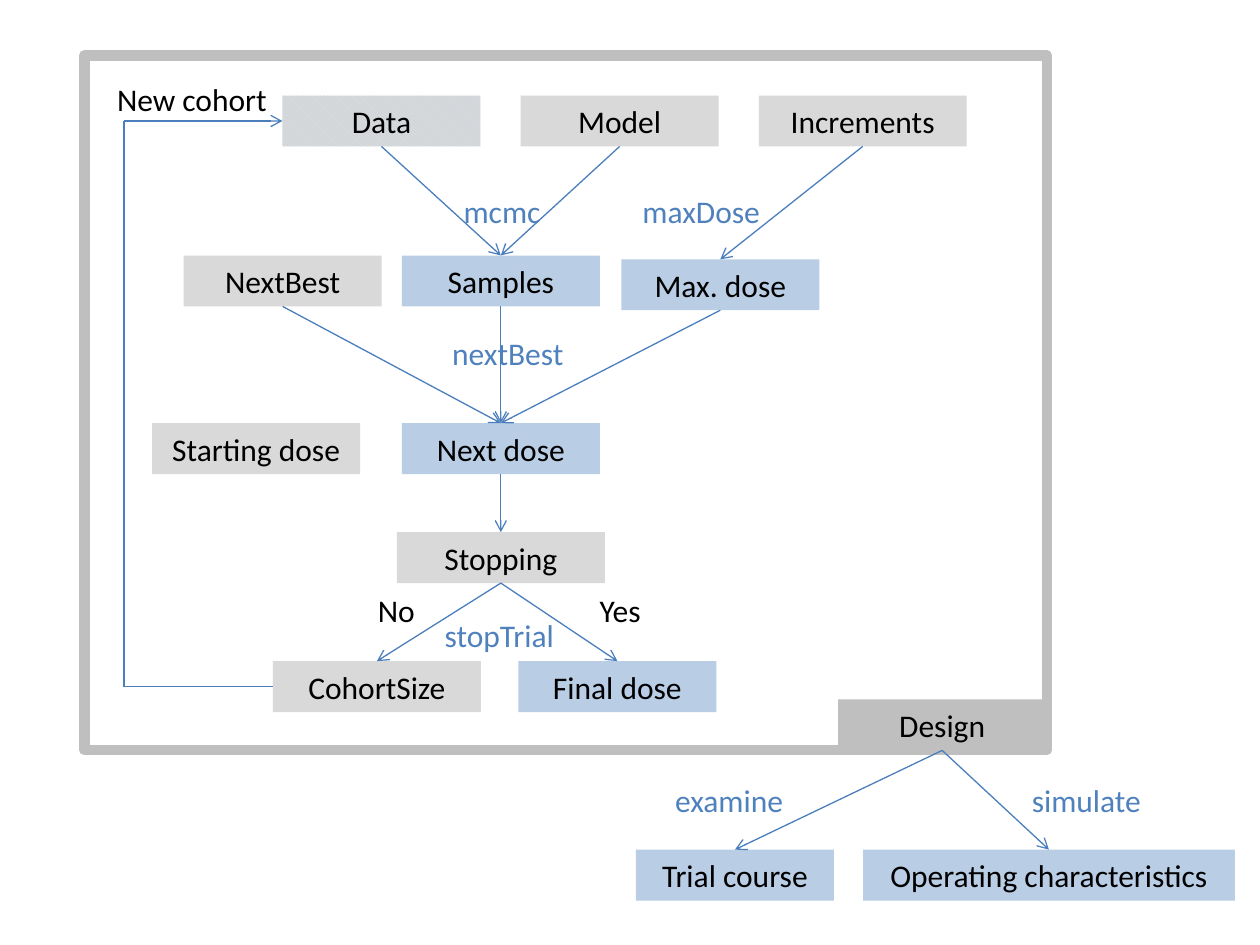
from dataclasses import dataclass
from typing import NamedTuple

from lxml import etree
from pptx import Presentation
from pptx import util as u
from pptx.dml.color import RGBColor
from pptx.enum import shapes, text
from pptx.oxml import ns


@dataclass(frozen=True)
class Theme:
    font: str = "Calibri"
    size: float = 18
    thin: float = 0.75
    thick: float = 6
    black: str = "000000"
    input: str = "D9D9D9"
    result: str = "B9CDE5"
    frame: str = "BFBFBF"
    method: str = "4F81BD"
    line: str = "4B7EBC"


class Box(NamedTuple):
    name: str
    left: float
    top: float
    width: float
    fill: str


class Label(NamedTuple):
    words: str
    left: float
    top: float
    width: float
    color: str


class Link(NamedTuple):
    start: str
    end: str


look = Theme()
HIGH = 29.1
SLIM, WIDE = 113.2, 118.8
TOP, BOTTOM, LEFT = 0, 2, 1
ROW1, ROW2, ROW3, ROW4, ROW5, ROW6 = 54.6, 146, 241.8, 304.1, 377.8, 485.5

BOXES = [
    Box("Data", 161.4, ROW1, SLIM, look.input),
    Box("Model", 297.5, ROW1, SLIM, look.input),
    Box("Increments", 433.6, ROW1, WIDE, look.input),
    Box("NextBest", 104.9, ROW2, SLIM, look.input),
    Box("Samples", 229.6, ROW2, SLIM, look.result),
    Box("Max. dose", 355, 148.2, SLIM, look.result),
    Box("Starting dose", 87, ROW3, WIDE, look.input),
    Box("Next dose", 229.6, ROW3, SLIM, look.result),
    Box("Stopping", 226.8, ROW4, WIDE, look.input),
    Box("CohortSize", 156, ROW5, WIDE, look.input),
    Box("Final dose", 296.2, ROW5, SLIM, look.result),
    Box("Design", 479, 399.7, WIDE, look.frame),
    Box("Trial course", 363.4, ROW6, SLIM, look.result),
    Box("Operating characteristics", 493.2, ROW6, 212.4, look.result),
]

LINKS = [
    Link("Data", "Samples"),
    Link("Model", "Samples"),
    Link("Increments", "Max. dose"),
    Link("NextBest", "Next dose"),
    Link("Samples", "Next dose"),
    Link("Max. dose", "Next dose"),
    Link("Next dose", "Stopping"),
    Link("Stopping", "CohortSize"),
    Link("Stopping", "Final dose"),
    Link("Design", "Trial course"),
    Link("Design", "Operating characteristics"),
]

LABELS = [
    Label("New cohort", 59.8, 42, 100.8, look.black),
    Label("mcmc", 257.8, 106, 59, look.method),
    Label("maxDose", 360, 106, 82, look.method),
    Label("nextBest", 251.3, 187.5, 78.5, look.method),
    Label("No", 208.8, 334, 36, look.black),
    Label("Yes", 335.6, 334, 38.2, look.black),
    Label("stopTrial", 247, 348.5, 77.8, look.method),
    Label("examine", 378.7, 442.8, 77, look.method),
    Label("simulate", 582.5, 442.8, 77.8, look.method),
]


def paint(fill, color: str) -> None:
    fill.solid()
    fill.fore_color.rgb = RGBColor.from_string(color)


def write(shape, words: str, color: str, align) -> None:
    frame = shape.text_frame
    frame.text = words
    frame.auto_size = text.MSO_AUTO_SIZE.SHAPE_TO_FIT_TEXT
    para = frame.paragraphs[0]
    para.alignment = align
    font = para.runs[0].font
    font.name = look.font
    font.size = u.Pt(look.size)
    font.color.rgb = RGBColor.from_string(color)


def add_rect(slide, left: float, top: float, width: float, high: float):
    shape = slide.shapes.add_shape(
        shapes.MSO_SHAPE.RECTANGLE, u.Pt(left), u.Pt(top), u.Pt(width), u.Pt(high))
    shape.shadow.inherit = False
    return shape


def add_frame(slide) -> None:
    shape = add_rect(slide, 48.2, 31.7, 550, 396.9)
    shape.fill.background()
    paint(shape.line.fill, look.frame)
    shape.line.width = u.Pt(look.thick)
    edge = shape.element.spPr.find(ns.qn("a:ln"))
    etree.SubElement(edge, ns.qn("a:round"))


def add_box(slide, box: Box):
    shape = add_rect(slide, box.left, box.top, box.width, HIGH)
    paint(shape.fill, box.fill)
    shape.line.fill.background()
    write(shape, box.name, look.black, text.PP_ALIGN.CENTER)
    return shape


def add_label(slide, label: Label) -> None:
    shape = slide.shapes.add_textbox(
        u.Pt(label.left), u.Pt(label.top), u.Pt(label.width), u.Pt(HIGH))
    write(shape, label.words, label.color, text.PP_ALIGN.LEFT)
    shape.text_frame.word_wrap = False


def add_line(slide, start: tuple, end: tuple, arrow: bool):
    line = slide.shapes.add_connector(
        shapes.MSO_CONNECTOR.STRAIGHT, *map(u.Pt, start), *map(u.Pt, end))
    paint(line.line.fill, look.line)
    line.line.width = u.Pt(look.thin)
    props = line.element.spPr
    if arrow:
        edge = props.find(ns.qn("a:ln"))
        etree.SubElement(edge, ns.qn("a:tailEnd"), type="arrow")
    etree.SubElement(props, ns.qn("a:effectLst"))
    return line


def add_loop(slide, nodes: dict) -> None:
    data, size = nodes["Data"], nodes["CohortSize"]
    side = 70.8
    high, low = [(n.top + n.height / 2) / u.Pt(1) for n in (data, size)]
    out = add_line(slide, (size.left.pt, low), (side, low), False)
    out.begin_connect(size, LEFT)
    add_line(slide, (side, low), (side, high), False)
    back = add_line(slide, (side, high), (data.left.pt, high), True)
    back.end_connect(data, LEFT)


def main() -> None:
    deck = Presentation()
    deck.slide_width, deck.slide_height = u.Pt(720), u.Pt(540)
    slide = deck.slides.add_slide(deck.slide_layouts[6])
    add_frame(slide)
    nodes = {box.name: add_box(slide, box) for box in BOXES}
    fill = nodes["Data"].fill
    fill.patterned()
    fill.pattern = 21
    fill.fore_color.rgb = RGBColor.from_string(look.result)
    fill.back_color.rgb = RGBColor.from_string(look.input)
    for link in LINKS:
        line = add_line(slide, (0, 0), (0, 0), True)
        line.begin_connect(nodes[link.start], BOTTOM)
        line.end_connect(nodes[link.end], TOP)
    add_loop(slide, nodes)
    for label in LABELS:
        add_label(slide, label)
    deck.save("out.pptx")


main()
